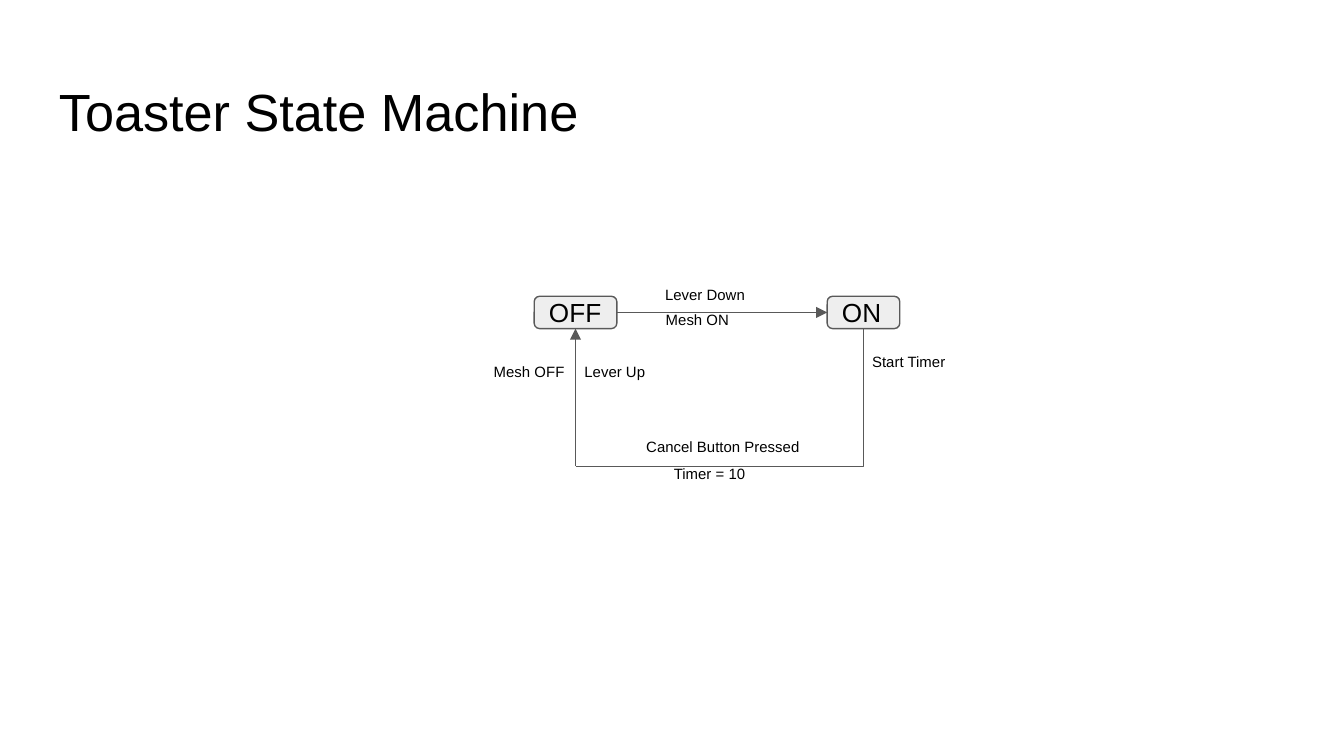
from lxml import etree
from pptx import Presentation
from pptx.dml.color import RGBColor
from pptx.enum.shapes import MSO_CONNECTOR, MSO_SHAPE
from pptx.enum.text import MSO_ANCHOR, PP_ALIGN
from pptx.oxml.ns import qn
from pptx.util import Inches, Pt

STRAIGHT, ELBOW = MSO_CONNECTOR.STRAIGHT, MSO_CONNECTOR.ELBOW
ROUND = MSO_SHAPE.ROUNDED_RECTANGLE
TOP, MIDDLE = MSO_ANCHOR.TOP, MSO_ANCHOR.MIDDLE
LEFT = PP_ALIGN.LEFT
COLORS = {"ink": "000000", "line": "595959", "fill": "EEEEEE"}
WIDTH = Inches(10)
HEIGHT = WIDTH * 9 // 16
CELL = WIDTH // 100
FONT = "Arial"


def color(name):
    return RGBColor.from_string(COLORS[name])


def cells(*counts):
    return [round(n * CELL) for n in counts]


def write(shape, text, size=8, anchor=TOP):
    frame = shape.text_frame
    frame.word_wrap = True
    frame.vertical_anchor = anchor
    frame.margin_left = frame.margin_right = CELL
    frame.margin_top = frame.margin_bottom = CELL
    para = frame.paragraphs[0]
    para.alignment = LEFT
    run = para.add_run()
    run.text = text
    run.font.size = Pt(size)
    run.font.name = FONT
    run.font.color.rgb = color("ink")


def label(slide, box, text, **style):
    write(slide.shapes.add_textbox(*cells(*box)), text, **style)


def state(slide, box, text):
    shape = slide.shapes.add_shape(ROUND, *cells(*box))
    shape.shadow.inherit = False
    shape.fill.solid()
    shape.fill.fore_color.rgb = color("fill")
    shape.line.color.rgb = color("line")
    shape.line.width = Pt(0.75)
    write(shape, text, size=14, anchor=MIDDLE)
    return shape


def link(slide, kind, start, end, arrow=False):
    line = slide.shapes.add_connector(kind, *cells(*start, *end))
    line.line.color.rgb = color("line")
    line.line.width = Pt(0.75)
    props = line._element.spPr
    if arrow:
        etree.SubElement(props.find(qn("a:ln")), qn("a:tailEnd"), type="triangle")
    etree.SubElement(props, qn("a:effectLst"))
    return line


def corner(slide, start, end):
    wide, high = start[0] - end[0], end[1] - start[1]
    mid_x, mid_y = (start[0] + end[0]) / 2, (start[1] + end[1]) / 2
    line = link(slide, ELBOW,
                (mid_x - high / 2, mid_y - wide / 2),
                (mid_x + high / 2, mid_y + wide / 2))
    props = line._element.spPr
    props.find(qn("a:xfrm")).set("rot", "5400000")
    props.find(qn("a:prstGeom")).set("prst", "bentConnector2")


def machine(slide, box):
    left, top, width, height = box
    row, tall = top + 1.35, 2.4
    off_w, on_w = 6.15, 5.4
    off_x, on_x = left + 4.05, left + 25.85
    base, center = row + tall, row + tall / 2
    off_mid, on_mid = off_x + off_w / 2, on_x + on_w / 2
    floor = top + height

    off = state(slide, (off_x, row, off_w, tall), "OFF")
    on = state(slide, (on_x, row, on_w, tall), "ON")

    ahead = link(slide, STRAIGHT, (off_x + off_w, center), (on_x, center), arrow=True)
    ahead.begin_connect(off, 3)
    ahead.end_connect(on, 1)
    corner(slide, (on_mid, base), (off_mid, floor))
    back = link(slide, STRAIGHT, (off_mid, floor), (off_mid, base), arrow=True)
    back.end_connect(off, 2)

    notes = [
        (12.8, 0, 10.4, "Lever Down"),
        (12.85, 1.85, 10.4, "Mesh ON"),
        (6.8, 5.75, 10.4, "Lever Up"),
        (0.05, 5.75, 10.4, "Mesh OFF"),
        (11.4, 11.3, 14.8, "Cancel Button Pressed"),
        (13.45, 13.3, 14.8, "Timer = 10"),
        (28.2, 5, 14.8, "Start Timer"),
    ]
    for x, y, wide, text in notes:
        label(slide, (left + x, top + y, wide, 1.2), text)


def main():
    deck = Presentation()
    deck.slide_width, deck.slide_height = WIDTH, HEIGHT
    slide = deck.slides.add_slide(deck.slide_layouts[6])
    label(slide, (3.4, 4.9, 93.2, 6.3), "Toaster State Machine", size=28)
    machine(slide, (35.7, 20.7, 43, 14))
    deck.save("out.pptx")


if __name__ == "__main__":
    main()
